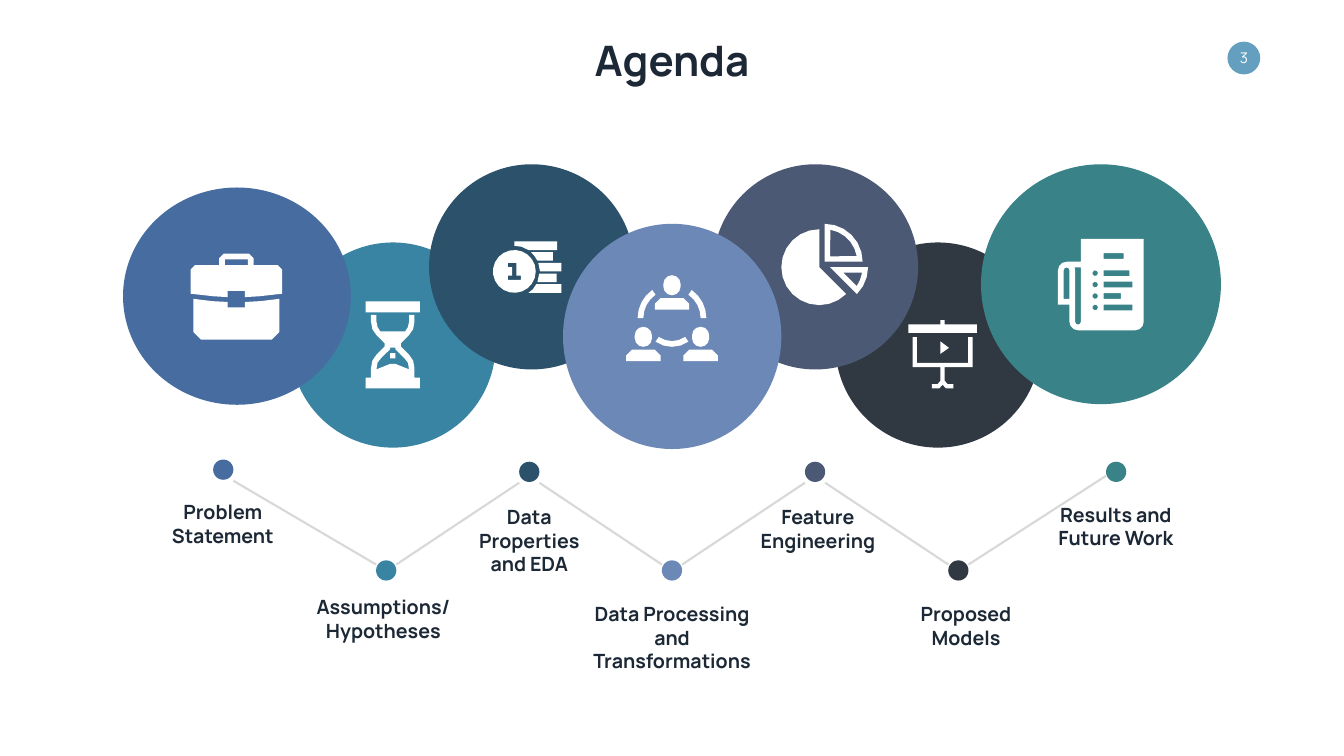
from math import ceil, cos, radians, sin, sqrt

from lxml.etree import SubElement
from pptx import Presentation
from pptx.dml.color import RGBColor
from pptx.enum.shapes import MSO_CONNECTOR, MSO_SHAPE
from pptx.enum.text import MSO_ANCHOR, MSO_AUTO_SIZE, PP_ALIGN
from pptx.oxml.ns import qn
from pptx.util import Cm, Pt

FONT = "Manrope"
WHITE = RGBColor(0xFF, 0xFF, 0xFF)
INK = RGBColor(0x1C, 0x28, 0x35)
GREY = RGBColor(0xD8, 0xD8, 0xD8)
SKY = RGBColor(0x65, 0x9F, 0xC0)
BLUE = RGBColor(0x46, 0x6C, 0xA0)
AQUA = RGBColor(0x39, 0x84, 0xA3)
NAVY = RGBColor(0x2B, 0x52, 0x6A)
LILAC = RGBColor(0x6C, 0x88, 0xB7)
SLATE = RGBColor(0x4C, 0x59, 0x74)
COAL = RGBColor(0x30, 0x39, 0x42)
TEAL = RGBColor(0x38, 0x82, 0x88)


def box(left, top, right, base):
    return [(left, top), (right, top), (right, base), (left, base)]


def arc(x, y, r, start, end):
    """Points on a circle, angles in degrees clockwise from the right."""
    steps = ceil(abs(end - start) * sqrt(r) / 40)
    turns = [radians(start + (end - start) * i / steps) for i in range(steps + 1)]
    return [(x + r * cos(t), y + r * sin(t)) for t in turns]


deck = Presentation()
deck.slide_width, deck.slide_height = Cm(67.72), Cm(38.1)
slide = deck.slides.add_slide(deck.slide_layouts[5])
shapes = slide.shapes

# Title
title = shapes.title
title.left, title.top, title.width, title.height = Cm(17.83), Cm(1.63), Cm(32.05), Cm(2.82)
frame = title.text_frame
frame.auto_size = MSO_AUTO_SIZE.NONE
frame.vertical_anchor = MSO_ANCHOR.TOP
para = frame.paragraphs[0]
para.alignment = PP_ALIGN.CENTER
run = para.add_run()
run.text = "Agenda"
run.font.name, run.font.size, run.font.bold = FONT, Pt(60), True
run.font.color.rgb = INK

# Topics: colour, dot left and top, line end height, label place, label
HIGH, LOW = 23.27, 28.24
topics = [
    (BLUE, 10.74, 23.16, 24.23, (7.16, 25.07, 8.13, 2.64), "Problem Statement"),
    (AQUA, 18.95, LOW, 28.45, (14.55, 29.87, 9.53, 2.64), "Assumptions/\nHypotheses"),
    (NAVY, 26.16, HIGH, 24.33, (23.19, 25.32, 6.96, 3.86), "Data Properties and EDA"),
    (LILAC, 33.35, LOW, 28.45, (29.21, 30.23, 9.3, 3.86),
     "Data Processing and Transformations"),
    (SLATE, 40.56, HIGH, 24.33, (37.54, 25.32, 7.34, 3.86), "Feature Engineering"),
    (COAL, 47.78, LOW, 28.45, (45.31, 30.23, 6.73, 2.64), "Proposed Models"),
    (TEAL, 55.73, HIGH, 23.98, (51.94, 25.2, 8.56, 2.64), "Results and Future Work"),
]
DOT = 1.02

# Page badge, big circles from back to front, then dots
discs = [
    (SKY, 61.85, 2.1, 1.65, 1.65),
    (COAL, 42.09, 12.22, 10.34, 10.34),
    (AQUA, 14.63, 12.22, 10.34, 10.34),
    (SLATE, 35.92, 8.28, 10.34, 10.34),
    (NAVY, 21.62, 8.28, 10.34, 10.34),
    (TEAL, 49.43, 8.28, 12.09, 12.09),
    (BLUE, 6.2, 9.45, 11.48, 10.95),
    (LILAC, 28.37, 11.28, 11, 11.35),
]
discs += [(tint, x, y, DOT, DOT) for tint, x, y, *_ in topics]
for tint, *place in discs:
    disc = shapes.add_shape(MSO_SHAPE.OVAL, *map(Cm, place))
    disc.shadow.inherit = False
    disc.fill.solid()
    disc.fill.fore_color.rgb = tint
    disc.line.fill.background()
    if tint == SKY:
        frame = disc.text_frame
        frame.word_wrap = False
        frame.vertical_anchor = MSO_ANCHOR.MIDDLE
        para = frame.paragraphs[0]
        para.alignment = PP_ALIGN.CENTER
        run = para.add_run()
        run.text = "3"
        run.font.name, run.font.size = FONT, Pt(21)
        run.font.color.rgb = WHITE

# Lines from dot to dot
for this, after in zip(topics, topics[1:]):
    link = shapes.add_connector(MSO_CONNECTOR.STRAIGHT, Cm(this[1] + DOT), Cm(this[3]),
                                Cm(after[1]), Cm(after[3]))
    link.line.color.rgb = GREY
    link.line.width = Pt(3)
    SubElement(link.element.spPr, qn("a:effectLst"))

# Labels
for *_, place, words in topics:
    frame = shapes.add_textbox(*map(Cm, place)).text_frame
    frame.word_wrap = True
    for i, line in enumerate(words.split("\n")):
        para = frame.add_paragraph() if i else frame.paragraphs[0]
        para.alignment = PP_ALIGN.CENTER
        run = para.add_run()
        run.text = line
        run.font.name, run.font.size, run.font.bold = FONT, Pt(28), True
        run.font.color.rgb = INK

# Icon outlines, each on its own grid of cells
case = [
    [(0.5, 7.9), (3.8, 8.3), (6.5, 8.45), (6.5, 9.4), (9.5, 9.4), (9.5, 8.45),
     (12.2, 8.3), (15.5, 7.9), (15.5, 13.7), (14.2, 15), (1.8, 15), (0.5, 13.7)],
    box(6, 1, 10, 2),
    [(5.8, 0), (10.2, 0), (11, 0.8), (11, 2), (15.2, 2), (16, 2.8), (16, 7),
     (12, 7.45), (9.5, 7.6), (9.5, 6.5), (6.5, 6.5), (6.5, 7.6), (4, 7.45),
     (0, 7), (0, 2.8), (0.8, 2), (5, 2), (5, 0.8)],
]
glass = [
    box(0, 0, 10, 2), box(4.5, 9.5, 5.5, 10.5),
    [(4.5, 8.5), (4.5, 8.8), (2.8, 10.5), (2.2, 11.3), (2, 12.5), (4.5, 11.5), (5.5, 11.5),
     (8, 12.5), (7.8, 11.3), (7.2, 10.5), (5.5, 8.8), (5.5, 8.5)],
    [(1, 2.5), (2, 2.5), (2, 3.7), (2.2, 4.7), (2.7, 5.5), (7.3, 5.5), (7.8, 4.7), (8, 3.7),
     (8, 2.5), (9, 2.5), (9, 3.7), (8.75, 5.1), (8, 6.2), (6.5, 7.7), (6.5, 8.3), (8, 9.8),
     (8.75, 10.9), (9, 12.3), (9, 14), (10, 14), (10, 16), (0, 16), (0, 14), (1, 14),
     (1, 12.3), (1.25, 10.9), (2, 9.8), (3.5, 8.3), (3.5, 7.7), (2, 6.2), (1.25, 5.1),
     (1, 3.7)],
]
coins = [
    [(10.1, 10), (16, 10), (16, 12), (8.3, 12), (9.3, 11.2)],
    [(10.8, 7.5), (14.9, 7.5), (14.9, 9.5), (10.4, 9.5)],
    [(10.6, 5), (16, 5), (16, 7), (11, 7)],
    [(8.9, 2.5), (14, 2.5), (14, 4.5), (10.4, 4.5), (9.7, 3.4)],
    [(5, 0), (15, 0), (15, 2), (8.3, 2), (6.7, 1.25), (5, 1)],
    arc(5, 7, 5, 0, 360),
    [(3.5, 5), (3.5, 6), (4.5, 6), (4.5, 8), (3.5, 8), (3.5, 9), (6.5, 9), (6.5, 8),
     (5.5, 8), (5.5, 5)],
]
team = []
for x, y in ((5, 0), (0, 9), (10, 9)):
    team.append(arc(x + 3, y + 1.5, 1.5, 180, 360) + arc(x + 3, y + 2, 1.5, 0, 180))
    team.append([(x + 1, y + 4), (x + 5, y + 4), (x + 6, y + 5), (x + 6, y + 6),
                 (x, y + 6), (x, y + 5)])
for r, start, end in ((6, -55, 0), (6, 180, 235), (5, 55, 125)):
    team.append(arc(8, 7.5, r, start, end) + arc(8, 7.5, r - 1, end, start))
pie = [
    [(7, 8)] + arc(7, 8, 7, 45, 270),
    [(8, 7)] + arc(8, 7, 7, -90, 0),
    [(9, 6)] + arc(8, 7, 6, -10, -80),
    [(9, 8)] + arc(9, 8, 7, 0, 45),
    [(11.4, 9), (13.9, 11.5), (14.5, 10.4), (14.9, 9)],
]
board = [
    [(7.5, 0), (8.5, 0), (8.5, 1), (16, 1), (16, 3), (0, 3), (0, 1), (7.5, 1)],
    [(7.5, 5), (9.5, 6.5), (7.5, 7.9)],
    [(1, 4), (2, 4), (2, 10), (14, 10), (14, 4), (15, 4), (15, 11), (8.5, 11), (8.5, 14.2),
     (9.2, 15), (10.5, 15), (10.5, 16), (8.8, 16), (8, 15.1), (7.2, 16), (5.5, 16),
     (5.5, 15), (6.8, 15), (7.5, 14.2), (7.5, 11), (1, 11)],
]
paper = [
    [(15, 0), (4, 0), (4, 4)] + arc(1.5, 5.5, 1.5, 270, 180) + [(0, 11.5), (2, 11.5)]
    + arc(3.5, 14.5, 1.5, 180, 90) + arc(13.5, 14.5, 1.5, 90, 0),
    [(3, 5.5), (2.9, 5), (4, 5)] + arc(3.5, 14.5, 0.5, 0, 180),
    [(2, 10.5), (1, 10.5)] + arc(1.5, 5.5, 0.5, 180, 360),
    box(8, 2.5, 11.5, 3.5),
]
for y, right in ((6, 12.5), (8, 13), (10, 11), (12, 13)):
    paper += [arc(6.5, y, 0.5, 0, 360), box(8, y - 0.5, right, y + 0.5)]

# Icons: outlines, left, top, width, columns
icons = [
    (case, 9.6, 12.78, 4.62, 16), (glass, 18.42, 15.19, 2.74, 10),
    (coins, 24.84, 12.17, 3.45, 16), (team, 31.55, 13.87, 4.62, 16),
    (pie, 39.37, 11.28, 4.37, 16), (board, 45.77, 16.13, 3.45, 16),
    (paper, 53.31, 12.04, 4.32, 15),
]
for loops, left, top, width, cols in icons:
    cell = width / cols
    paths = [[(Cm(left + x * cell), Cm(top + y * cell)) for x, y in loop] for loop in loops]
    pen = shapes.build_freeform(*paths[0][0])
    for i, spots in enumerate(paths):
        if i:
            pen.move_to(*spots[0])
        pen.add_line_segments(spots[1:], close=True)
    icon = pen.convert_to_shape()
    icon.shadow.inherit = False
    icon.fill.solid()
    icon.fill.fore_color.rgb = WHITE
    icon.line.fill.background()

deck.save("out.pptx")
